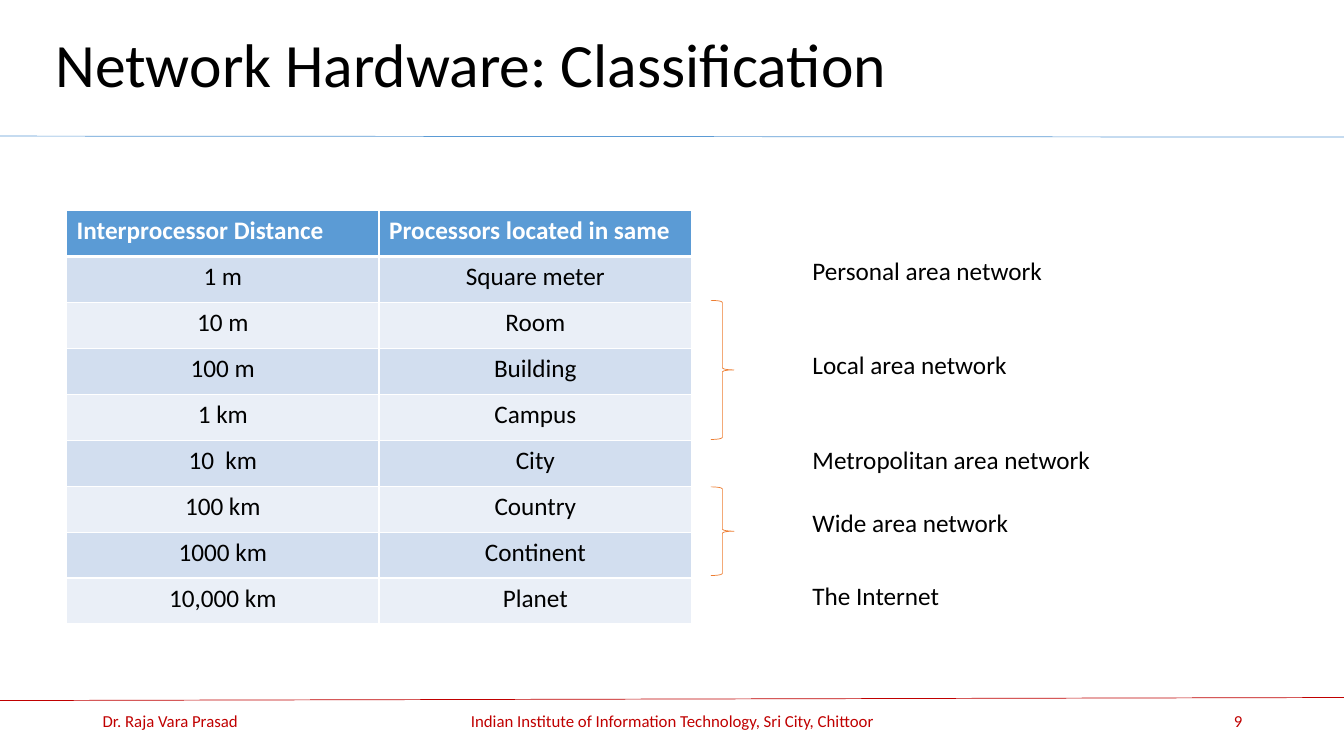
from lxml import etree
from pptx import Presentation
from pptx.dml.color import RGBColor
from pptx.enum.shapes import MSO_CONNECTOR, MSO_SHAPE
from pptx.enum.text import MSO_ANCHOR, MSO_AUTO_SIZE, PP_ALIGN
from pptx.oxml.ns import qn
from pptx.util import Inches, Pt

LINE = MSO_CONNECTOR.STRAIGHT
BRACE = MSO_SHAPE.RIGHT_BRACE
TOP, MIDDLE = MSO_ANCHOR.TOP, MSO_ANCHOR.MIDDLE
GROW = MSO_AUTO_SIZE.SHAPE_TO_FIT_TEXT
LEFT, CENTER, RIGHT = PP_ALIGN.LEFT, PP_ALIGN.CENTER, PP_ALIGN.RIGHT

FONT = "Calibri"
COLORS = {
    "black": "000000", "white": "FFFFFF", "red": "C00000", "blue": "5B9BD5",
    "orange": "ED7D31", "dark": "D2DEEF", "light": "EAEFF7",
}
ROWS = [
    ("Interprocessor Distance", "Processors located in same"),
    ("1 m", "Square meter"),
    ("10 m", "Room"),
    ("100 m", "Building"),
    ("1 km", "Campus"),
    ("10  km", "City"),
    ("100 km", "Country"),
    ("1000 km", "Continent"),
    ("10,000 km", "Planet"),
]
LABELS = [  # text, top, width
    ("Personal area network", 2.48, 2.5),
    ("Local area network", 3.42, 2.15),
    ("Metropolitan area network", 4.36, 2.98),
    ("Wide area network", 4.98, 2.17),
    ("The Internet", 5.71, 1.47),
]
FOOTER = [  # text, left, width, alignment
    ("Dr. Raja Vara Prasad", 0.92, 3, LEFT),
    ("Indian Institute of Information Technology, Sri City, Chittoor",
     4.42, 4.5, CENTER),
    ("9", 9.42, 3, RIGHT),
]


def rgb(name):
    return RGBColor.from_string(COLORS[name])


def add_run(para, text, size, color, bold=False):
    run = para.add_run()
    run.text = text
    run.font.name = FONT
    run.font.size = Pt(size)
    run.font.bold = bold
    run.font.color.rgb = rgb(color)


def add_text(slide, box, text, size, color, align=LEFT, anchor=MIDDLE,
             wrap=True):
    shape = slide.shapes.add_textbox(*map(Inches, box))
    frame = shape.text_frame
    frame.word_wrap = wrap
    frame.vertical_anchor = anchor
    if not wrap:
        frame.auto_size = GROW
    para = frame.paragraphs[0]
    para.alignment = align
    add_run(para, text, size, color)
    return para


def add_rule(slide, ends, color):
    rule = slide.shapes.add_connector(LINE, *map(Inches, ends))
    rule.line.color.rgb = rgb(color)
    rule.line.width = Pt(0.5)
    etree.SubElement(rule._element.spPr, qn("a:effectLst"))


def add_brace(slide, top, height):
    brace = slide.shapes.add_shape(
        BRACE, *map(Inches, (7.05, top, 0.23, height)))
    brace.shadow.inherit = False
    brace.fill.background()
    brace.line.color.rgb = rgb("orange")
    brace.line.width = Pt(0.5)


def set_edge(cell, side, width):
    props = cell._tc.get_or_add_tcPr()
    edge = etree.SubElement(props, qn("a:ln" + side), w=str(Pt(width)))
    fill = etree.SubElement(edge, qn("a:solidFill"))
    etree.SubElement(fill, qn("a:srgbClr"), val=COLORS["white"])


def fill_cell(cell, text, row):
    head = row == 0
    # Borders come before the fill; the head has a thick lower edge
    for side in "LRTB":
        thick = (row, side) in ((0, "B"), (1, "T"))
        set_edge(cell, side, 3 if thick else 1)
    cell.fill.solid()
    cell.fill.fore_color.rgb = rgb(
        "blue" if head else "dark" if row % 2 else "light")
    para = cell.text_frame.paragraphs[0]
    para.alignment = LEFT if head else CENTER
    add_run(para, text, 18, "white" if head else "black", head)


def add_grid(slide):
    box = map(Inches, (0.66, 2.09, 6.2, 4.1))
    table = slide.shapes.add_table(len(ROWS), 2, *box).table
    for row, texts in enumerate(ROWS):
        for col, text in enumerate(texts):
            fill_cell(table.cell(row, col), text, row)


def main():
    deck = Presentation()
    deck.slide_width, deck.slide_height = Inches(13.33), Inches(7.5)
    slide = deck.slides.add_slide(deck.slide_layouts[6])

    # Title and rules
    title = add_text(slide, (0.45, 0.02, 12.51, 1.3),
                     "Network Hardware: Classification", 44, "black")
    title.line_spacing = 0.9
    add_rule(slide, (0, 1.35, 13.33, 1.36), "blue")
    add_rule(slide, (0, 6.95, 13.37, 6.92), "red")

    # Footer
    for text, left, width, align in FOOTER:
        add_text(slide, (left, 6.95, width, 0.4), text, 12, "red", align)

    # Distances and the network types beside them
    add_grid(slide)
    for text, top, width in LABELS:
        add_text(slide, (7.96, top, width, 0.4), text, 18, "black",
                 anchor=TOP, wrap=False)
    add_brace(slide, 2.98, 1.38)
    add_brace(slide, 4.83, 0.88)

    deck.save("out.pptx")


if __name__ == "__main__":
    main()
